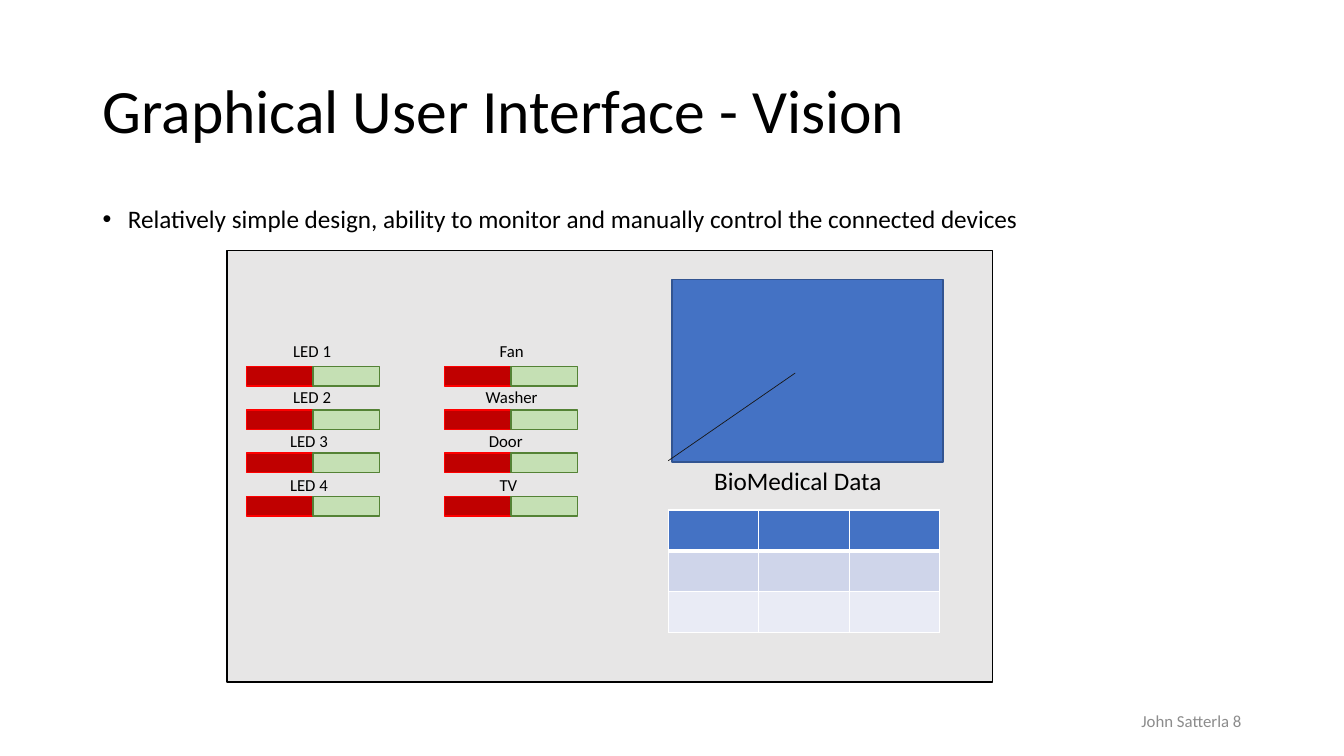
"""Build the slide that shows the vision for the graphical user interface."""
from dataclasses import dataclass

from lxml import etree
from pptx import Presentation
from pptx.dml.color import RGBColor
from pptx.enum.shapes import MSO_CONNECTOR, MSO_SHAPE
from pptx.enum.text import MSO_ANCHOR, MSO_AUTO_SIZE, PP_ALIGN
from pptx.oxml.ns import qn
from pptx.util import Cm, Pt

RECTANGLE = MSO_SHAPE.RECTANGLE
STRAIGHT = MSO_CONNECTOR.STRAIGHT
TOP, MIDDLE = MSO_ANCHOR.TOP, MSO_ANCHOR.MIDDLE
LEFT, RIGHT = PP_ALIGN.LEFT, PP_ALIGN.RIGHT
NO_AUTOFIT = MSO_AUTO_SIZE.NONE


@dataclass(frozen=True)
class Theme:
    """Colours, font and type sizes of the slide."""
    font: str = "Calibri"
    text: str = "000000"
    footer: str = "8C8C8C"
    panel: str = "E7E6E6"
    off: str = "C00000"
    off_line: str = "FF0000"
    on: str = "C5E0B4"
    on_line: str = "548235"
    accent: str = "4472C4"
    accent_line: str = "325491"
    trace: str = "181717"
    grid: str = "FFFFFF"
    rows: tuple = ("4472C4", "CFD5EA", "E9EBF5")
    title_size: int = 44
    body_size: int = 18
    label_size: int = 12


THEME = Theme()
TOGGLE_TOP, TOGGLE_PITCH = 9.24, 1.09
HALF_WIDTH, TOGGLE_HEIGHT = 1.67, 0.49
LABEL_TOPS = (8.46, 9.63, 10.74, 11.84)
TOGGLE_COLUMNS = (
    (6.22, (("LED 1", 7.14), ("LED 2", 7.14), ("LED 3", 7.06), ("LED 4", 7.06))),
    (11.21, (("Fan", 12.34), ("Washer", 11.99), ("Door", 12.07), ("TV", 12.34))),
)


def place(shape, left, top, width, height):
    """Move and size a shape in centimetres."""
    shape.left, shape.top = Cm(left), Cm(top)
    shape.width, shape.height = Cm(width), Cm(height)


def write(shape, text, *, size, color=THEME.text, align=LEFT, anchor=TOP, spacing=1.0, before=0):
    """Write one formatted paragraph and return it."""
    frame = shape.text_frame
    frame.word_wrap = True
    frame.auto_size = NO_AUTOFIT
    frame.vertical_anchor = anchor
    paragraph = frame.paragraphs[0]
    paragraph.alignment = align
    paragraph.line_spacing = spacing
    paragraph.space_before = Pt(before)
    run = paragraph.add_run()
    run.text = text
    run.font.name = THEME.font
    run.font.size = Pt(size)
    run.font.color.rgb = RGBColor.from_string(color)
    return paragraph


def add_bullet(paragraph):
    """Give a paragraph a round bullet with a hanging indent."""
    properties = paragraph._p.get_or_add_pPr()
    properties.set("marL", str(Cm(0.64)))
    properties.set("indent", str(-Cm(0.64)))
    etree.SubElement(properties, qn("a:buFont"), typeface="Arial")
    etree.SubElement(properties, qn("a:buChar"), char="•")


def add_label(slide, text, box, **text_format):
    """Add a text box with one line of text."""
    label = slide.shapes.add_textbox(*map(Cm, box))
    write(label, text, **text_format)


def add_box(slide, box, fill, line):
    """Add an outlined rectangle."""
    shape = slide.shapes.add_shape(RECTANGLE, *map(Cm, box))
    shape.shadow.inherit = False
    shape.fill.solid()
    shape.fill.fore_color.rgb = RGBColor.from_string(fill)
    shape.line.color.rgb = RGBColor.from_string(line)
    shape.line.width = Pt(1)


def add_trace(slide, start, end):
    """Add the thin line on the display."""
    trace = slide.shapes.add_connector(STRAIGHT, *map(Cm, start + end))
    trace.line.color.rgb = RGBColor.from_string(THEME.trace)
    trace.line.width = Pt(0.5)
    etree.SubElement(trace._element.spPr, qn("a:effectLst"))


def add_toggles(slide, left, devices):
    """Add a column of labelled off and on switches."""
    for index, (name, label_left) in enumerate(devices):
        top = TOGGLE_TOP + index * TOGGLE_PITCH
        add_box(slide, (left, top, HALF_WIDTH, TOGGLE_HEIGHT), THEME.off, THEME.off_line)
        add_box(slide, (left + HALF_WIDTH, top, HALF_WIDTH, TOGGLE_HEIGHT), THEME.on, THEME.on_line)
        add_label(slide, name, (label_left, LABEL_TOPS[index], 2.49, 0.77), size=THEME.label_size)


def set_borders(cell, **widths):
    """Draw the borders of a cell, with widths in points by side."""
    properties = cell._tc.get_or_add_tcPr()
    for position, side in enumerate("LRTB"):
        border = etree.Element(qn(f"a:ln{side}"), w=str(Pt(widths.get(side, 1))))
        fill = etree.SubElement(border, qn("a:solidFill"))
        etree.SubElement(fill, qn("a:srgbClr"), val=THEME.grid)
        properties.insert(position, border)


def add_data_table(slide, left, top, column_width, row_height):
    """Add the empty data table with three columns."""
    row_count, column_count = len(THEME.rows), 3
    size = (column_count * column_width, row_count * row_height)
    table = slide.shapes.add_table(row_count, column_count, *map(Cm, (left, top) + size)).table
    for row_index, fill in enumerate(THEME.rows):
        widths = {0: {"B": 3}, 1: {"T": 3}}.get(row_index, {})
        for cell in table.rows[row_index].cells:
            cell.fill.solid()
            cell.fill.fore_color.rgb = RGBColor.from_string(fill)
            set_borders(cell, **widths)


def main():
    """Build and save the slide."""
    presentation = Presentation()
    presentation.slide_width, presentation.slide_height = Cm(33.87), Cm(19.05)
    slide = presentation.slides.add_slide(presentation.slide_layouts[1])
    title, body = slide.placeholders
    place(title, 2.33, 1.01, 29.21, 3.68)
    write(title, "Graphical User Interface - Vision",
          size=THEME.title_size, anchor=MIDDLE, spacing=0.9)
    place(body, 2.33, 5.07, 29.21, 1.25)
    add_bullet(write(
        body, "Relatively simple design, ability to monitor and manually control the connected devices",
        size=THEME.body_size, spacing=0.9, before=10))
    add_label(slide, "John Satterla 8", (23.92, 17.66, 7.62, 1.01),
              size=THEME.label_size, color=THEME.footer, align=RIGHT, anchor=MIDDLE)

    add_box(slide, (5.72, 6.32, 19.3, 10.87), THEME.panel, THEME.text)
    for left, devices in TOGGLE_COLUMNS:
        add_toggles(slide, left, devices)

    add_box(slide, (16.94, 7.04, 6.83, 4.6), THEME.accent, THEME.accent_line)
    add_trace(slide, (16.84, 11.61), (20.04, 9.4))
    add_label(slide, "BioMedical Data", (17.75, 11.61, 6.1, 1.03), size=THEME.body_size)
    add_data_table(slide, 16.84, 12.85, 2.28, 1.02)
    presentation.save("out.pptx")


if __name__ == "__main__":
    main()
